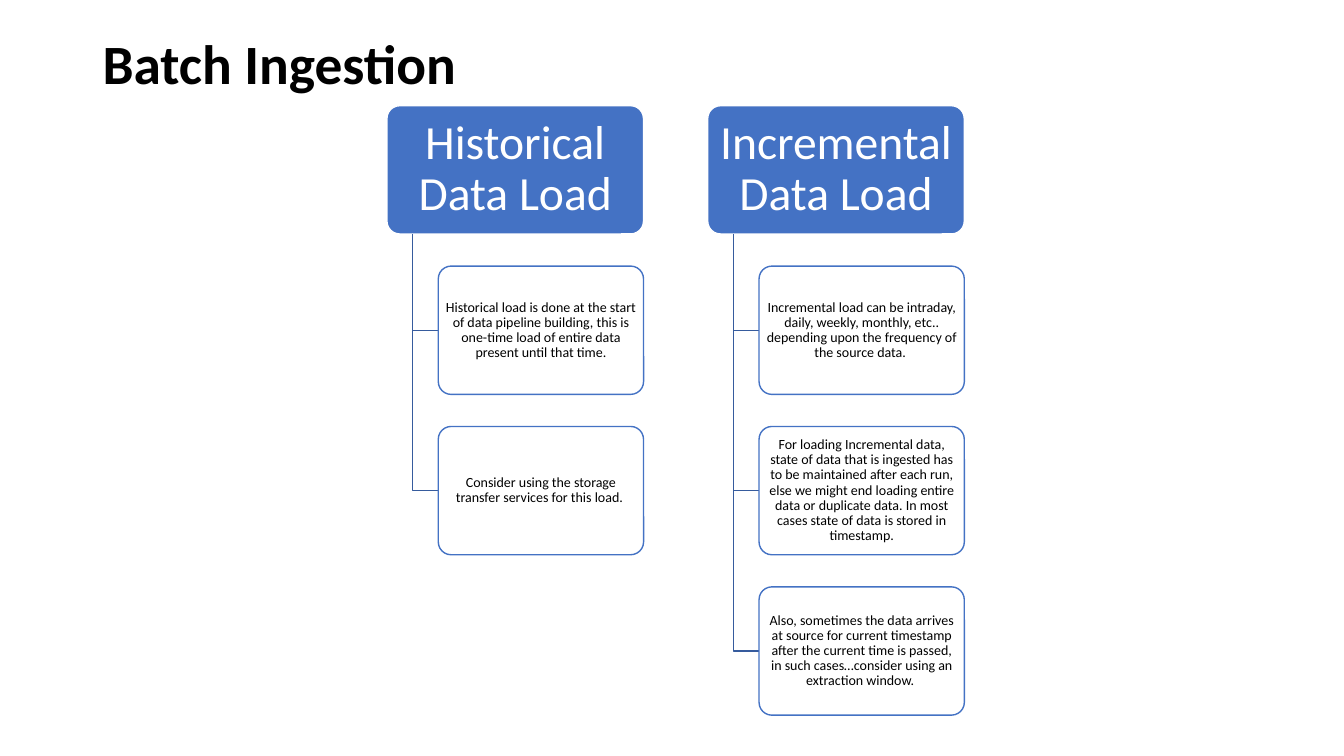
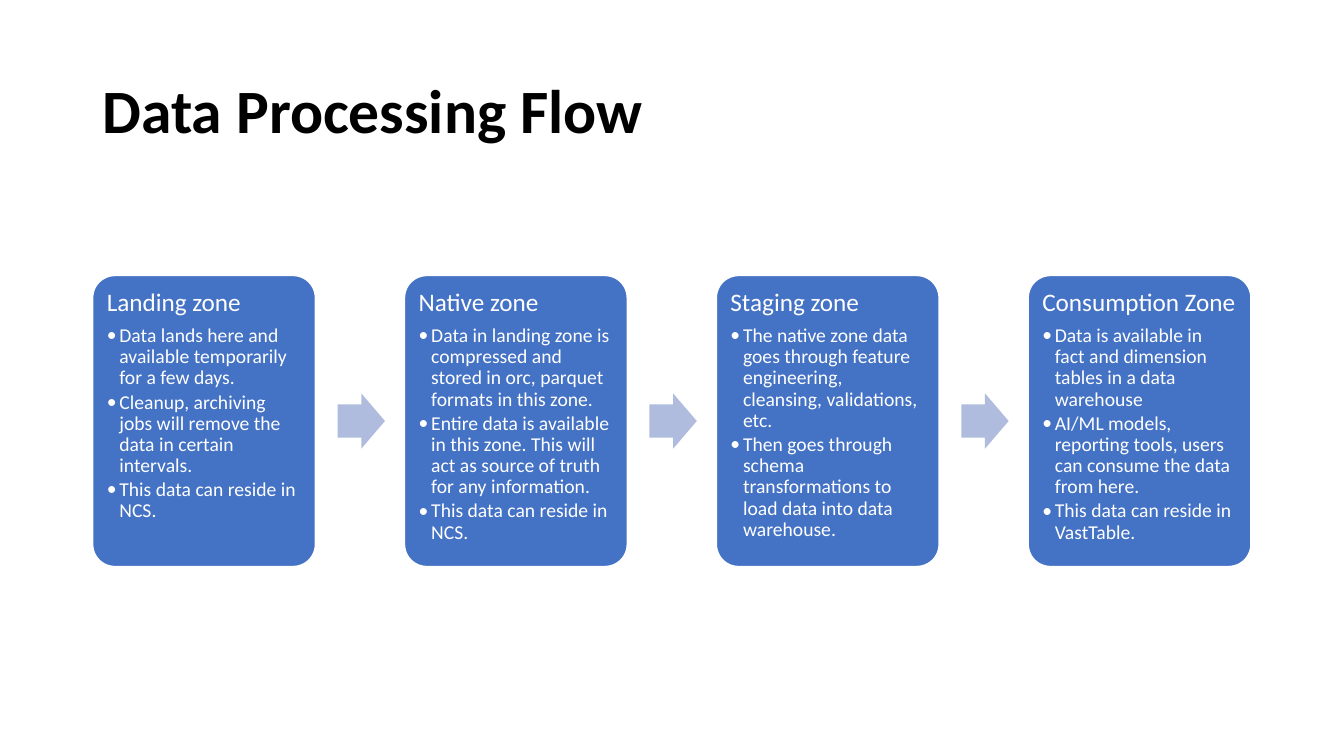
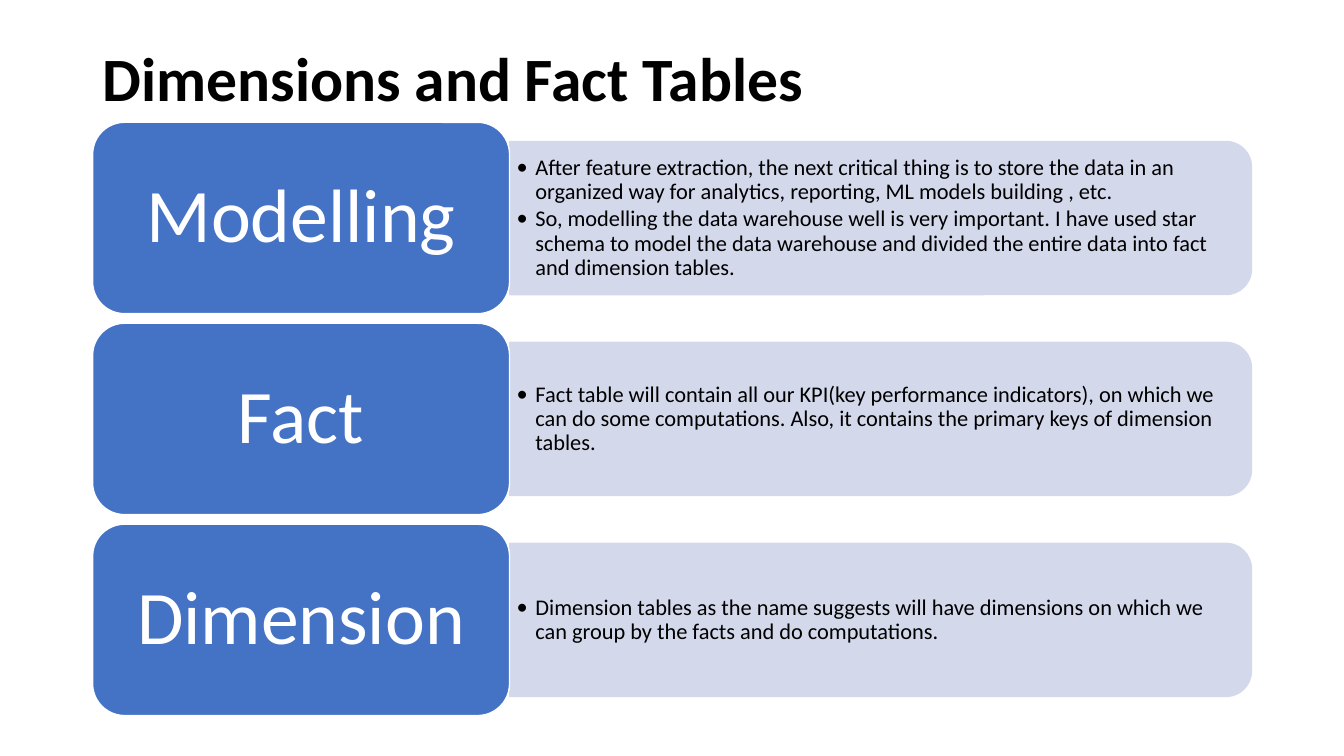
"""Build three slides on data ingestion, processing zones and warehouse tables."""
from dataclasses import dataclass

from lxml.etree import SubElement
from pptx import Presentation
from pptx.dml.color import RGBColor
from pptx.enum.shapes import MSO_SHAPE
from pptx.enum.text import MSO_ANCHOR, PP_ALIGN
from pptx.oxml.ns import qn
from pptx.presentation import Presentation as Deck
from pptx.shapes.autoshape import Shape
from pptx.slide import Slide
from pptx.util import Pt


@dataclass(frozen=True)
class Theme:
    font: str = "Calibri"
    blue: str = "4472C4"
    dark_blue: str = "365B9D"
    arrow_blue: str = "B0BCDE"
    pale_blue: str = "D3D8EB"
    white: str = "FFFFFF"
    black: str = "000000"
    title_size: float = 44
    small_title_size: float = 39.6
    load_size: float = 34
    note_size: float = 10
    zone_size: float = 18
    zone_item_size: float = 14
    topic_size: float = 54
    topic_item_size: float = 16
    line_spacing: float = 0.9
    heading_gap: float = 0.35
    item_gap: float = 0.15
    line_width: float = 1
    margin: float = 66.2


@dataclass(frozen=True)
class Area:
    left: float
    top: float
    width: float
    height: float


@dataclass(frozen=True)
class TextStyle:
    size: float
    color: str
    bold: bool = False
    align: PP_ALIGN = PP_ALIGN.LEFT
    gap: float = 0
    bullet_indent: float = 0


@dataclass(frozen=True)
class Section:
    heading: str
    items: tuple[str, ...]


THEME = Theme()

LOADS = (
    Section("Historical Data Load", (
        "Historical load is done at the start of data pipeline building, this is "
        "one-time load of entire data present until that time.",
        "Consider using the storage transfer services for this load. ",
    )),
    Section("Incremental Data Load", (
        "Incremental load can be intraday, daily, weekly, monthly, etc.. depending "
        "upon the frequency of the source data. ",
        "For loading Incremental data, state of data that is ingested has to be "
        "maintained after each run, else we might end loading entire data or "
        "duplicate data. In most cases state of data is stored in timestamp.",
        "Also, sometimes the data arrives at source for current timestamp after the "
        "current time is passed, in such cases…consider using an extraction window. ",
    )),
)

ZONES = (
    Section("Landing zone", (
        "Data lands here and available temporarily for a few days.",
        "Cleanup, archiving jobs will remove the data in certain intervals.",
        "This data can reside in NCS.",
    )),
    Section("Native zone", (
        "Data in landing zone is compressed and stored in orc, parquet formats in "
        "this zone.",
        "Entire data is available in this zone. This will act as source of truth for "
        "any information.",
        "This data can reside in NCS.",
    )),
    Section("Staging zone", (
        "The native zone data goes through feature engineering, cleansing, "
        "validations, etc.",
        "Then goes through schema transformations to load data into data warehouse.",
    )),
    Section("Consumption Zone", (
        "Data is available in fact and dimension tables in a data warehouse",
        "AI/ML models, reporting tools, users can consume the data from here.",
        "This data can reside in VastTable.",
    )),
)

TOPICS = (
    Section("Modelling", (
        "After feature extraction, the next critical thing is to store the data in an "
        "organized way for analytics, reporting, ML models building , etc.",
        "So, modelling the data warehouse well is very important. I have used star "
        "schema to model the data warehouse and divided the entire data into fact "
        "and dimension tables.",
    )),
    Section("Fact", (
        "Fact table will contain all our KPI(key performance indicators), on which we "
        "can do some computations. Also, it contains the primary keys of dimension "
        "tables.",
    )),
    Section("Dimension", (
        "Dimension tables as the name suggests will have dimensions on which we can "
        "group by the facts and do computations.",
    )),
)


def write(box: Shape, lines: list[tuple[str, TextStyle]], inset: tuple[float, float],
          anchor: MSO_ANCHOR = MSO_ANCHOR.MIDDLE) -> None:
    frame = box.text_frame
    frame.word_wrap = True
    frame.vertical_anchor = anchor
    frame.margin_left = frame.margin_right = Pt(inset[0])
    frame.margin_top = frame.margin_bottom = Pt(inset[1])
    for index, (text, style) in enumerate(lines):
        para = frame.add_paragraph() if index else frame.paragraphs[0]
        para.text = text
        para.alignment = style.align
        para.line_spacing = THEME.line_spacing
        para.space_after = Pt(style.gap * style.size)
        if style.bullet_indent:
            properties = para._p.get_or_add_pPr()
            indent = Pt(style.bullet_indent)
            properties.set("marL", str(indent))
            properties.set("indent", str(-indent))
            SubElement(properties, qn("a:buFont"), typeface=THEME.font)
            SubElement(properties, qn("a:buChar"), char="•")
        para.font.name = THEME.font
        para.font.size = Pt(style.size)
        para.font.bold = style.bold
        para.font.color.rgb = RGBColor.from_string(style.color)


def add_text_box(slide: Slide, area: Area) -> Shape:
    return slide.shapes.add_textbox(
        Pt(area.left), Pt(area.top), Pt(area.width), Pt(area.height))


def add_box(slide: Slide, preset: MSO_SHAPE, area: Area, fill: str, line: str,
            adjustments: tuple[float, ...] = ()) -> Shape:
    box = slide.shapes.add_shape(
        preset, Pt(area.left), Pt(area.top), Pt(area.width), Pt(area.height))
    box.shadow.inherit = False
    box.fill.solid()
    box.fill.fore_color.rgb = RGBColor.from_string(fill)
    box.line.color.rgb = RGBColor.from_string(line)
    box.line.width = Pt(THEME.line_width)
    for index, value in enumerate(adjustments):
        box.adjustments[index] = value
    return box


def add_elbow(slide: Slide, start: tuple[float, float],
              end: tuple[float, float]) -> None:
    builder = slide.shapes.build_freeform(Pt(start[0]), Pt(start[1]))
    corner = (Pt(start[0]), Pt(end[1]))
    builder.add_line_segments([corner, (Pt(end[0]), Pt(end[1]))], close=False)
    elbow = builder.convert_to_shape()
    elbow.shadow.inherit = False
    elbow.fill.background()
    elbow.line.color.rgb = RGBColor.from_string(THEME.dark_blue)
    elbow.line.width = Pt(THEME.line_width)


def add_titled_slide(deck: Deck, title: str, height: float,
                     size: float = THEME.title_size) -> Slide:
    slide = deck.slides.add_slide(deck.slide_layouts[6])
    box = add_text_box(slide, Area(THEME.margin, 28.75, 828, height))
    write(box, [(title, TextStyle(size, THEME.black, bold=True))], (7.2, 3.6))
    return slide


def add_load_tree(slide: Slide, load: Section, left: float, top: float,
                  width: float) -> None:
    height = width / 2
    pitch = height * 1.25
    heading = TextStyle(THEME.load_size, THEME.white, align=PP_ALIGN.CENTER)
    note = TextStyle(THEME.note_size, THEME.black, align=PP_ALIGN.CENTER)
    header = add_box(slide, MSO_SHAPE.ROUNDED_RECTANGLE, Area(left, top, width, height),
                     THEME.blue, THEME.white, (0.1,))
    write(header, [(load.heading, heading)], (5.1, 3.4))

    trunk = left + width * 0.1
    card_left = left + width * 0.2
    for row, text in enumerate(load.items, start=1):
        card_top = top + pitch * row
        add_elbow(slide, (trunk, top + height), (card_left, card_top + height / 2))
        card = add_box(slide, MSO_SHAPE.ROUNDED_RECTANGLE,
                       Area(card_left, card_top, width * 0.8, height),
                       THEME.white, THEME.blue, (0.1,))
        write(card, [(text, note)], (1.5, 1))


def add_batch_slide(deck: Deck) -> None:
    slide = add_titled_slide(deck, "Batch Ingestion", 38, THEME.small_title_size)
    width = 183.3
    for column, load in enumerate(LOADS):
        add_load_tree(slide, load, 276.4 + column * width * 1.25, 75.5, width)


def add_flow_slide(deck: Deck) -> None:
    slide = add_titled_slide(deck, "Data Processing Flow", 104.4)
    top, width, height = 196.8, 159.1, 207.9
    arrow_width, arrow_height = 33.8, 39.5
    heading = TextStyle(THEME.zone_size, THEME.white, gap=THEME.heading_gap)
    item = TextStyle(THEME.zone_item_size, THEME.white, gap=THEME.item_gap,
                     bullet_indent=9)
    for column, zone in enumerate(ZONES):
        left = THEME.margin + column * width * 1.4
        card = add_box(slide, MSO_SHAPE.ROUNDED_RECTANGLE,
                       Area(left, top, width, height), THEME.blue, THEME.white, (0.1,))
        lines = [(zone.heading, heading), *((text, item) for text in zone.items)]
        write(card, lines, (5.4, 5.4), MSO_ANCHOR.TOP)
        if column < len(ZONES) - 1:
            arrow = add_box(slide, MSO_SHAPE.RIGHT_ARROW,
                            Area(left + width * 1.1, top + (height - arrow_height) / 2,
                                 arrow_width, arrow_height),
                            THEME.arrow_blue, THEME.arrow_blue, (0.6, 0.5))
            arrow.line.fill.background()


def add_tables_slide(deck: Deck) -> None:
    slide = add_titled_slide(deck, "Dimensions and Fact Tables", 58.4)
    top, width, height = 87.4, 297.8, 136.7
    band_width, band_height = 529.9, height * 0.8
    band_left = THEME.margin + width
    heading = TextStyle(THEME.topic_size, THEME.white, align=PP_ALIGN.CENTER)
    item = TextStyle(THEME.topic_item_size, THEME.black, gap=THEME.item_gap,
                     bullet_indent=13.5)
    for row, topic in enumerate(TOPICS):
        row_top = top + row * height * 1.05
        middle = row_top + height / 2
        band = add_box(slide, MSO_SHAPE.ROUND_2_SAME_RECTANGLE,
                       Area(band_left + (band_width - band_height) / 2,
                            middle - band_width / 2, band_height, band_width),
                       THEME.pale_blue, THEME.pale_blue)
        band.rotation = 90
        details = add_text_box(slide, Area(band_left, middle - 49.3, 524.6, 98.6))
        write(details, [(text, item) for text in topic.items], (5, 2.4))
        card = add_box(slide, MSO_SHAPE.ROUNDED_RECTANGLE,
                       Area(THEME.margin, row_top, width, height),
                       THEME.blue, THEME.white)
        write(card, [(topic.heading, heading)], (16.2, 8.1))


def main() -> None:
    deck = Presentation()
    deck.slide_width, deck.slide_height = Pt(960), Pt(540)
    add_batch_slide(deck)
    add_flow_slide(deck)
    add_tables_slide(deck)
    deck.save("out.pptx")


if __name__ == "__main__":
    main()
